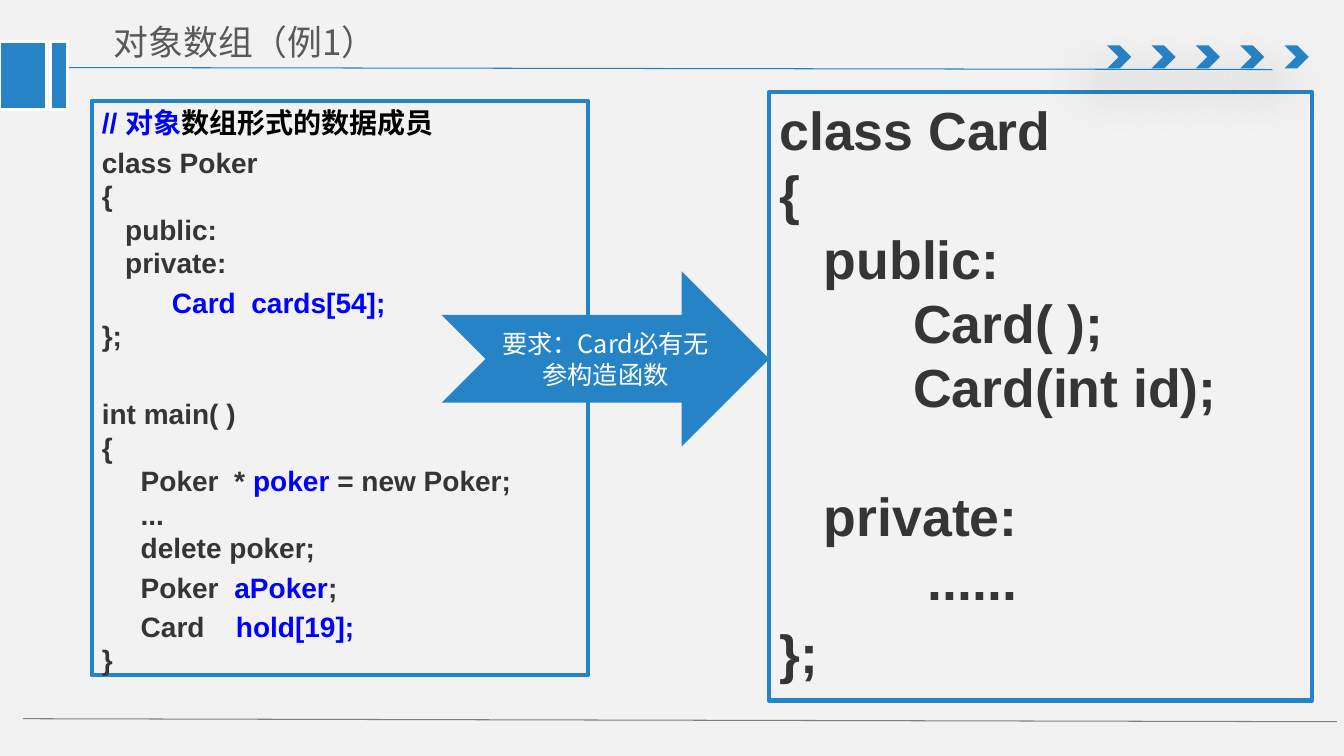
from lxml import etree
from pptx import Presentation
from pptx.dml.color import RGBColor
from pptx.enum import shapes, text
from pptx.oxml import parse_xml
from pptx.oxml.ns import nsdecls, qn
from pptx.util import Inches, Pt

C = {"bg": "F2F2F2", "blue": "2683C6", "rule": "2181C6", "gray": "808080",
     "title": "595959", "code": "343537", "mark": "0000FF",
     "black": "000000", "white": "FFFFFF"}
CJK = "Noto Sans CJK SC"
M = shapes.MSO_SHAPE


def add_text(p, words, size=20, color="code", font="Arial", bold=False):
    """Append a run, using the CJK face for its East Asian characters."""
    for i, line in enumerate(words.split("\n")):
        if i:
            p.add_line_break()
        if not line:
            continue
        r = p.add_run()
        r.text = line
        r.font.size, r.font.bold, r.font.name = Pt(size), bold, font
        r.font.color.rgb = RGBColor.from_string(C[color])
        etree.SubElement(r._r.rPr, qn("a:ea")).set("typeface", CJK)
    for br in p._p.findall(qn("a:br")):
        if br.find(qn("a:rPr")) is None:
            etree.SubElement(br, qn("a:rPr")).set("sz", str(round(size * 100)))


def add_filled(kind, box, line=None):
    sp = s.shapes.add_shape(kind, *map(Inches, box))
    sp.shadow.inherit = False
    sp.fill.solid()
    sp.fill.fore_color.rgb = RGBColor.from_string(C["blue"])
    if line:
        sp.line.color.rgb = RGBColor.from_string(C[line])
        sp.line.width = Pt(2)
    else:
        sp.line.fill.background()
    return sp


prs = Presentation()
prs.slide_width, prs.slide_height = Inches(13.33), Inches(7.5)
s = prs.slides.add_slide(prs.slide_layouts[3])
s.background.fill.solid()
s.background.fill.fore_color.rgb = RGBColor.from_string(C["bg"])
title, left_code, right_code = s.placeholders

# Header and footer decoration
for x1, y1, x2, y2, color in [(0.53, 0.67, 12.62, 0.69, "rule"),
                              (0.23, 7.13, 13.26, 7.16, "gray")]:
    rule = s.shapes.add_connector(shapes.MSO_CONNECTOR.STRAIGHT,
                                  *map(Inches, (x1, y1, x2, y2)))
    rule.line.color.rgb = RGBColor.from_string(C[color])
    rule.line.width = Pt(0.75)
    etree.SubElement(rule._element.spPr, qn("a:effectLst"))

for i in range(5):
    chevron = add_filled(M.CHEVRON, (10.98 + i * 0.44, 0.45, 0.24, 0.23))
    effects = chevron._element.spPr.find(qn("a:effectLst"))
    effects.append(parse_xml(
        f'<a:outerShdw {nsdecls("a")} blurRad="{Pt(36)}" dist="{Pt(24)}" '
        'dir="7800000" rotWithShape="0"><a:srgbClr val="000000">'
        '<a:alpha val="38000"/></a:srgbClr></a:outerShdw>'))

for x, width in [(0, 0.46), (0.5, 0.17)]:
    add_filled(M.RECTANGLE, (x, 0.41, width, 0.68), line="white")

# Title
title.left, title.top, title.width, title.height = map(Inches, (0.99, 0.14, 4.63, 0.55))
tf = title.text_frame
tf.auto_size = text.MSO_AUTO_SIZE.NONE
tf.vertical_anchor = text.MSO_ANCHOR.MIDDLE
tf.margin_left = tf.margin_right = Inches(0.14)
tf.margin_top = tf.margin_bottom = Inches(0.07)
tf.paragraphs[0].alignment = text.PP_ALIGN.LEFT
add_text(tf.paragraphs[0], "对象数组（例1）", size=24.9, color="title", font=CJK)

# Code panels: each paragraph is (space before, [(words, colour), ...])
poker_code = [
    (0, [("// 对象", "mark"), ("数组形式的数据成员", "black")]),
    (4, [("class Poker \n{\n   public:          \n   private:", "code")]),
    (4, [("         ", "code"), ("Card  cards[54];\n", "mark"), ("};", "code")]),
    (31.5, [("int main( )\n{\n     Poker  * ", "code"), ("poker", "mark"),
            (" = new Poker;\n     ...\n     delete poker;", "code")]),
    (4, [("     Poker  ", "code"), ("aPoker", "mark"), (";", "code")]),
    (4, [("     Card    ", "code"), ("hold[19];\n", "mark"), ("}", "code")]),
]
card_code = [
    (0, [("class Card \n{\n   public:    \n         Card( );\n"
          "         Card(int id);", "code")]),
    (46, [("   private:\n          ......", "code")]),
    (6, [("};", "code")]),
]
for sp, box, size, code in [
        (right_code, (7.63, 0.91, 5.38, 6.04), 38.3, card_code),
        (left_code, (0.91, 1, 4.92, 5.7), 20, poker_code)]:
    sp.left, sp.top, sp.width, sp.height = map(Inches, box)
    sp.line.color.rgb = RGBColor.from_string(C["blue"])
    sp.line.width = Pt(3)
    tf = sp.text_frame
    tf.auto_size = text.MSO_AUTO_SIZE.NONE
    tf.word_wrap = True
    for i, (before, runs) in enumerate(code):
        p = tf.add_paragraph() if i else tf.paragraphs[0]
        pPr = p._p.get_or_add_pPr()
        pPr.set("marL", "0")
        pPr.set("indent", "0")
        etree.SubElement(pPr, qn("a:buNone"))
        p.space_before = Pt(before)
        p.line_spacing = 1.0
        for words, color in runs:
            add_text(p, words, size=size, color=color, bold=True)

# Requirement arrow
arrow = add_filled(M.NOTCHED_RIGHT_ARROW, (4.38, 2.69, 3.25, 1.74))
tf = arrow.text_frame
tf.word_wrap = True
tf.vertical_anchor = text.MSO_ANCHOR.MIDDLE
tf.paragraphs[0].alignment = text.PP_ALIGN.CENTER
add_text(tf.paragraphs[0], "要求：Card必有无参构造函数", size=18, color="white", font=CJK)

prs.save("out.pptx")
